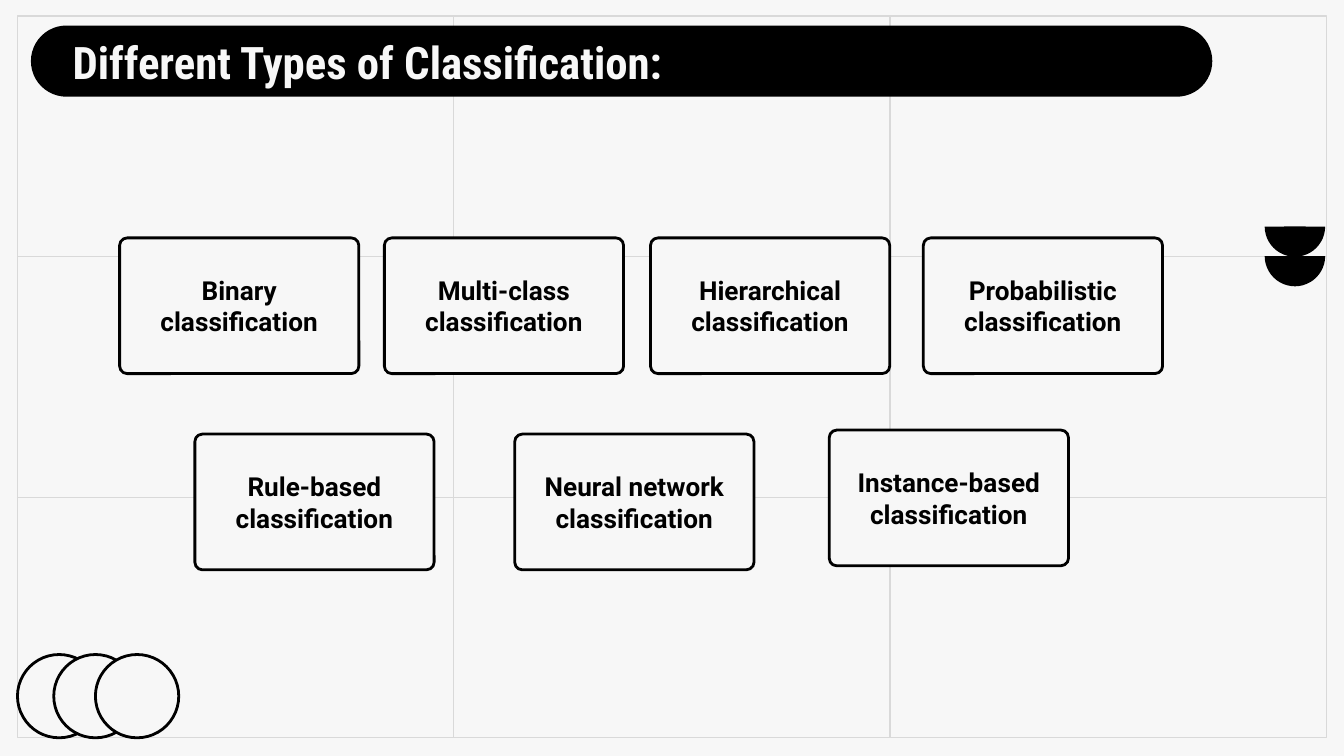
import pptx
import pptx.util
import pptx.dml.color
import pptx.enum.shapes
import pptx.enum.text
import pptx.oxml.ns
import lxml.etree

BLACK = pptx.dml.color.RGBColor(0x00, 0x00, 0x00)
PAPER = pptx.dml.color.RGBColor(0xF7, 0xF7, 0xF7)
GREY = pptx.dml.color.RGBColor(0xD9, 0xD9, 0xD9)
SHAPE = pptx.enum.shapes.MSO_SHAPE
Inches, Pt = pptx.util.Inches, pptx.util.Pt

# A 16:9 slide
prs = pptx.Presentation()
prs.slide_width, prs.slide_height = Inches(10), Inches(10 * 9 / 16)
s = prs.slides.add_slide(prs.slide_layouts[5])
s.background.fill.solid()
s.background.fill.fore_color.rgb = PAPER


def add_shape(kind, x, y, w, h, fill=None, line=None, weight=1.5):
    sp = s.shapes.add_shape(kind, Inches(x), Inches(y), Inches(w), Inches(h))
    sp.shadow.inherit = False
    if fill is None:
        sp.fill.background()
    else:
        sp.fill.solid()
        sp.fill.fore_color.rgb = fill
    if line is None:
        sp.line.fill.background()
    else:
        sp.line.color.rgb = line
        sp.line.width = Pt(weight)
    return sp


def set_text(sp, text, font, size, color, align):
    tf = sp.text_frame
    tf.text = text
    tf.word_wrap = True
    tf.auto_size = pptx.enum.text.MSO_AUTO_SIZE.NONE
    tf.vertical_anchor = pptx.enum.text.MSO_ANCHOR.MIDDLE
    tf.margin_left = tf.margin_right = tf.margin_top = tf.margin_bottom = Inches(0.1)
    p = tf.paragraphs[0]
    p.alignment = align
    r = p.runs[0]
    r.font.name, r.font.size, r.font.bold = font, Pt(size), True
    r.font.color.rgb = color


# Background frame, divided into thirds both ways
left, top, width, height = 0.13, 0.12, 9.74, 5.37
right, bottom = left + width, top + height
add_shape(SHAPE.RECTANGLE, left, top, width, height, line=GREY, weight=0.75)
rules = [(left + width * i / 3, top, left + width * i / 3, bottom) for i in (1, 2)]
rules += [(left, top + height * i / 3, right, top + height * i / 3) for i in (1, 2)]
for ends in rules:
    c = s.shapes.add_connector(pptx.enum.shapes.MSO_CONNECTOR.STRAIGHT,
                               *[Inches(v) for v in ends])
    c.line.color.rgb = GREY
    c.line.width = Pt(0.75)
    lxml.etree.SubElement(c.element.spPr, pptx.oxml.ns.qn("a:effectLst"))

# Overlapping rings in the bottom left corner
ring = 0.62
for x in (left, 0.4, 0.71):
    add_shape(SHAPE.OVAL, x, bottom - ring, ring, ring, PAPER, BLACK)

# Stacked half discs at the right edge
disc = 0.45
for y in (1.68, 1.46):
    sp = add_shape(SHAPE.PIE, 9.41, y, disc, disc, BLACK)
    sp.adjustments[0], sp.adjustments[1] = 108.11, 215.89
    sp.rotation = 180

# Title on a black pill
pill = add_shape(SHAPE.ROUNDED_RECTANGLE, 0.23, 0.19, 8.79, 0.53, BLACK)
pill.adjustments[0] = 0.5
title = s.shapes.title
title.left, title.top = Inches(0.44), Inches(0.2)
title.width, title.height = Inches(8.44), Inches(0.52)
set_text(title, "Different Types of Classification:", "Roboto Condensed", 24,
         PAPER, pptx.enum.text.PP_ALIGN.LEFT)
pill.element.addnext(title.element)

# Classification cards in two rows
card_w, card_h = 1.78, 1.01
row_1, row_2 = 1.77, 3.23
cards = [
    ("Binary", 0.89, row_1),
    ("Multi-class", 2.86, row_1),
    ("Hierarchical", 4.84, row_1),
    ("Probabilistic", 6.87, row_1),
    ("Rule-based", 1.45, row_2),
    ("Neural network", 3.83, row_2),
    ("Instance-based", 6.17, row_2 - 0.03),
]
for name, x, y in cards:
    sp = add_shape(SHAPE.ROUNDED_RECTANGLE, x, y, card_w, card_h, PAPER, BLACK)
    sp.adjustments[0] = 0.055
    set_text(sp, name + " classification", "Roboto", 14, BLACK,
             pptx.enum.text.PP_ALIGN.CENTER)

prs.save("out.pptx")
